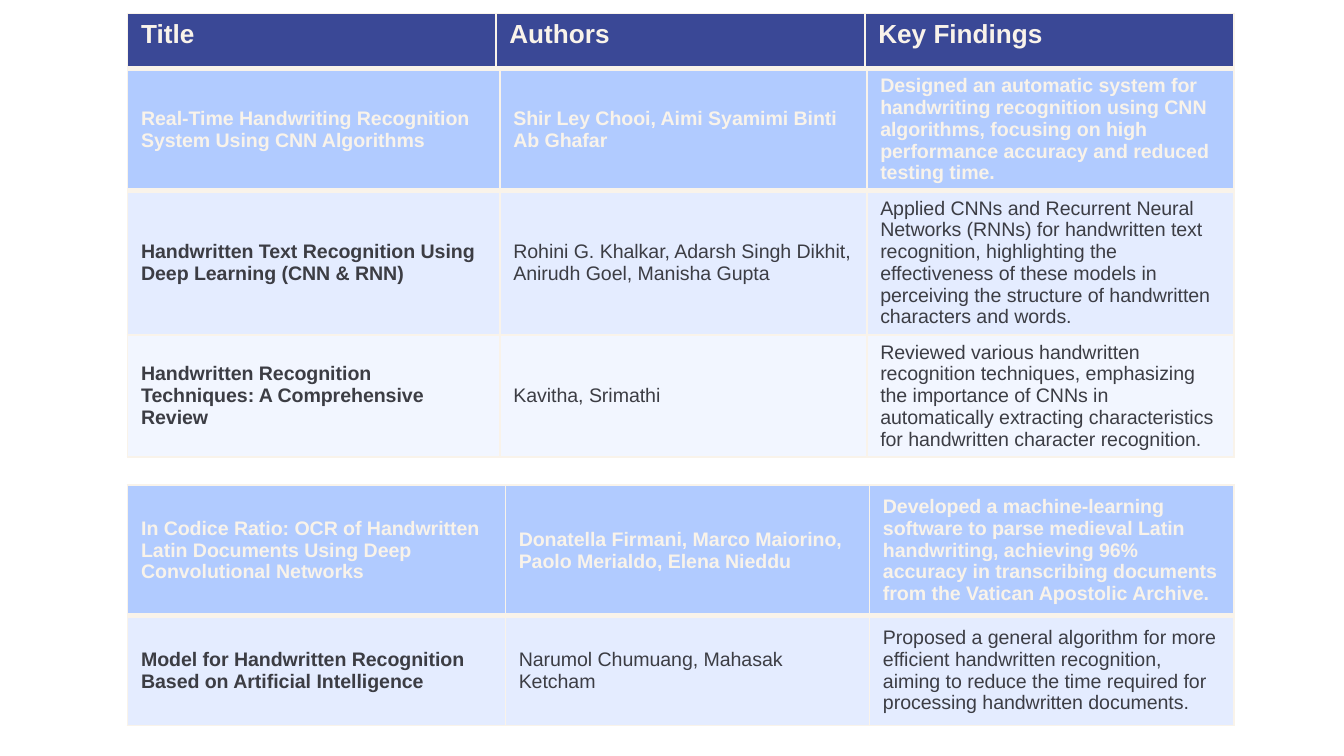
from lxml import etree
from pptx import Presentation
from pptx import util as u
from pptx.dml.color import RGBColor
from pptx.enum import text
from pptx.oxml import ns

COLORS = {
    "cream": "F9F3EA",
    "ink": "3C3D44",
    "navy": "3A4896",
    "blue": "B1CBFF",
    "pale": "E4ECFF",
    "paler": "F2F6FF",
}
LEFT, WIDTH = 0.95, 8.23

FIRST_PAPERS = [
    ("Real-Time Handwriting Recognition System Using CNN Algorithms",
     "Shir Ley Chooi, Aimi Syamimi Binti Ab Ghafar",
     "Designed an automatic system for handwriting recognition using CNN algorithms, "
     "focusing on high performance accuracy and reduced testing time."),
    ("Handwritten Text Recognition Using Deep Learning (CNN & RNN)",
     "Rohini G. Khalkar, Adarsh Singh Dikhit, Anirudh Goel, Manisha Gupta",
     "Applied CNNs and Recurrent Neural Networks (RNNs) for handwritten text recognition, "
     "highlighting the effectiveness of these models in perceiving the structure of "
     "handwritten characters and words."),
    ("Handwritten Recognition Techniques: A Comprehensive Review",
     "Kavitha, Srimathi",
     "Reviewed various handwritten recognition techniques, emphasizing the importance of CNNs "
     "in automatically extracting characteristics for handwritten character recognition."),
]
MORE_PAPERS = [
    ("In Codice Ratio: OCR of Handwritten Latin Documents Using Deep Convolutional Networks",
     "Donatella Firmani, Marco Maiorino, Paolo Merialdo, Elena Nieddu",
     "Developed a machine-learning software to parse medieval Latin handwriting, achieving 96% "
     "accuracy in transcribing documents from the Vatican Apostolic Archive."),
    ("Model for Handwritten Recognition Based on Artificial Intelligence",
     "Narumol Chumuang, Mahasak Ketcham",
     "Proposed a general algorithm for more efficient handwritten recognition, aiming to reduce "
     "the time required for processing handwritten documents."),
]


class SlideBuilder:
    def __init__(self, slide, font="Arial"):
        self.slide = slide
        self.font = font

    def border(self, cell, bottom):
        """Line a cell, with its own width in points at the bottom; call before filling."""
        properties = cell._tc.get_or_add_tcPr()
        for side, width in (("L", 1), ("R", 1), ("T", 1), ("B", bottom)):
            line = etree.SubElement(properties, ns.qn(f"a:ln{side}"), w=str(u.Pt(width)))
            fill = etree.SubElement(line, ns.qn("a:solidFill"))
            etree.SubElement(fill, ns.qn("a:srgbClr"), val=COLORS["cream"])

    def cell(self, cell, words, fill, color, bold, size, anchor, bottom):
        self.border(cell, bottom)
        cell.fill.solid()
        cell.fill.fore_color.rgb = RGBColor.from_string(COLORS[fill])
        cell.vertical_anchor = anchor
        cell.text = words
        font = cell.text_frame.paragraphs[0].font
        font.name, font.size, font.bold = self.font, u.Pt(size), bold
        font.color.rgb = RGBColor.from_string(COLORS[color])

    def table(self, rows, top, height, first_column, row_heights, fills,
              size=10.5, anchor=text.MSO_ANCHOR.MIDDLE):
        """Add a table whose first row is a bold heading over a thick line."""
        frame = self.slide.shapes.add_table(
            len(rows), 3, u.Inches(LEFT), u.Inches(top), u.Inches(WIDTH), u.Inches(height))
        table = frame.table
        table.first_row = table.horz_banding = False
        other_column = (WIDTH - first_column) / 2
        for column, width in zip(table.columns, (first_column, other_column, other_column)):
            column.width = u.Inches(width)
        for row, row_height in zip(table.rows, row_heights):
            row.height = u.Inches(row_height)
        frame.height = u.Inches(height)
        for i, words in enumerate(rows):
            heading = i == 0
            for j, entry in enumerate(words):
                self.cell(table.cell(i, j), entry, fills[i],
                          color="cream" if heading else "ink", bold=heading or j == 0,
                          size=size, anchor=anchor, bottom=3 if heading else 1)


def main():
    presentation = Presentation()
    presentation.slide_width = u.Inches(10)
    presentation.slide_height = u.Inches(10 * 9 / 16)
    builder = SlideBuilder(presentation.slides.add_slide(presentation.slide_layouts[6]))
    body_fills = ("blue", "pale", "paler")
    builder.table(FIRST_PAPERS, 0.51, 3.1, 2.77, (0.81, 0.95, 0.81), body_fills)
    builder.table(MORE_PAPERS, 3.61, 1.79, 2.81, (0.97, 0.82), body_fills)
    builder.table([("Title", "Authors", "Key Findings")], 0.1, 0.41, 2.74, (0.41,),
                  ("navy",), size=14, anchor=text.MSO_ANCHOR.TOP)
    presentation.save("out.pptx")


if __name__ == "__main__":
    main()
